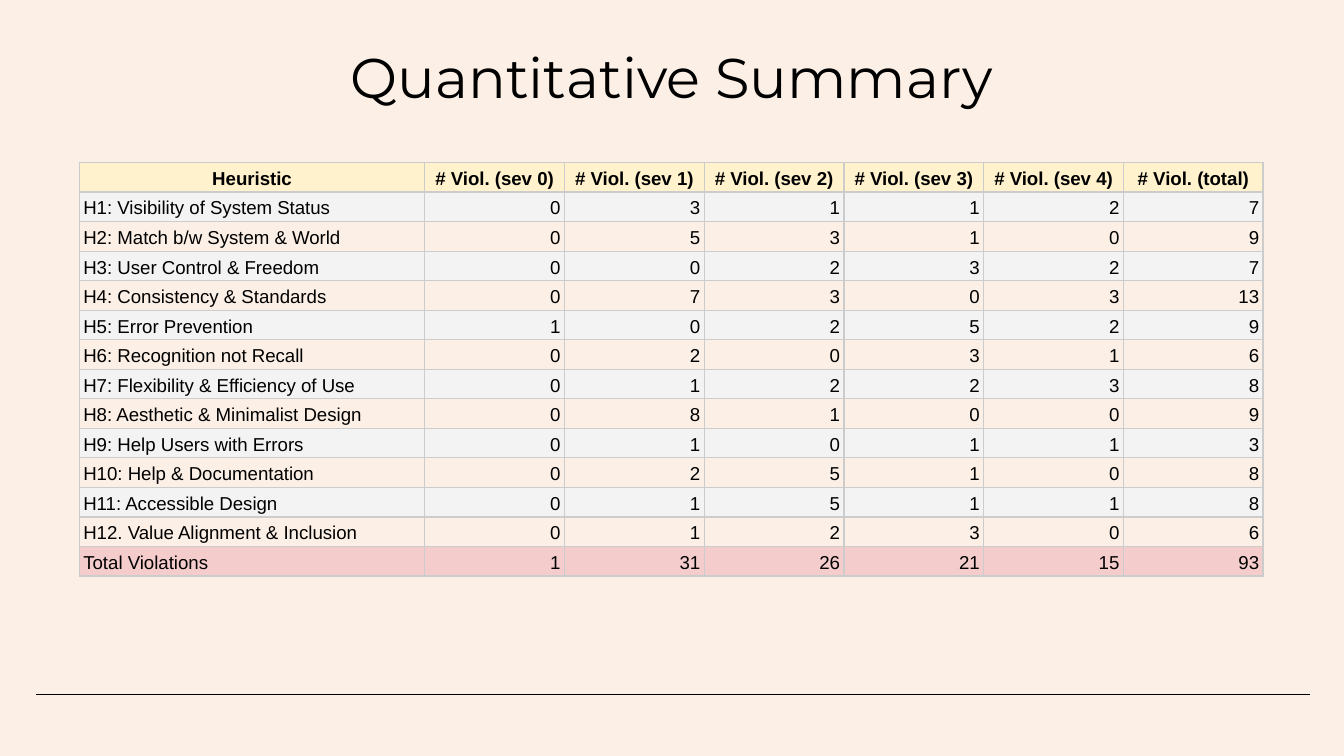
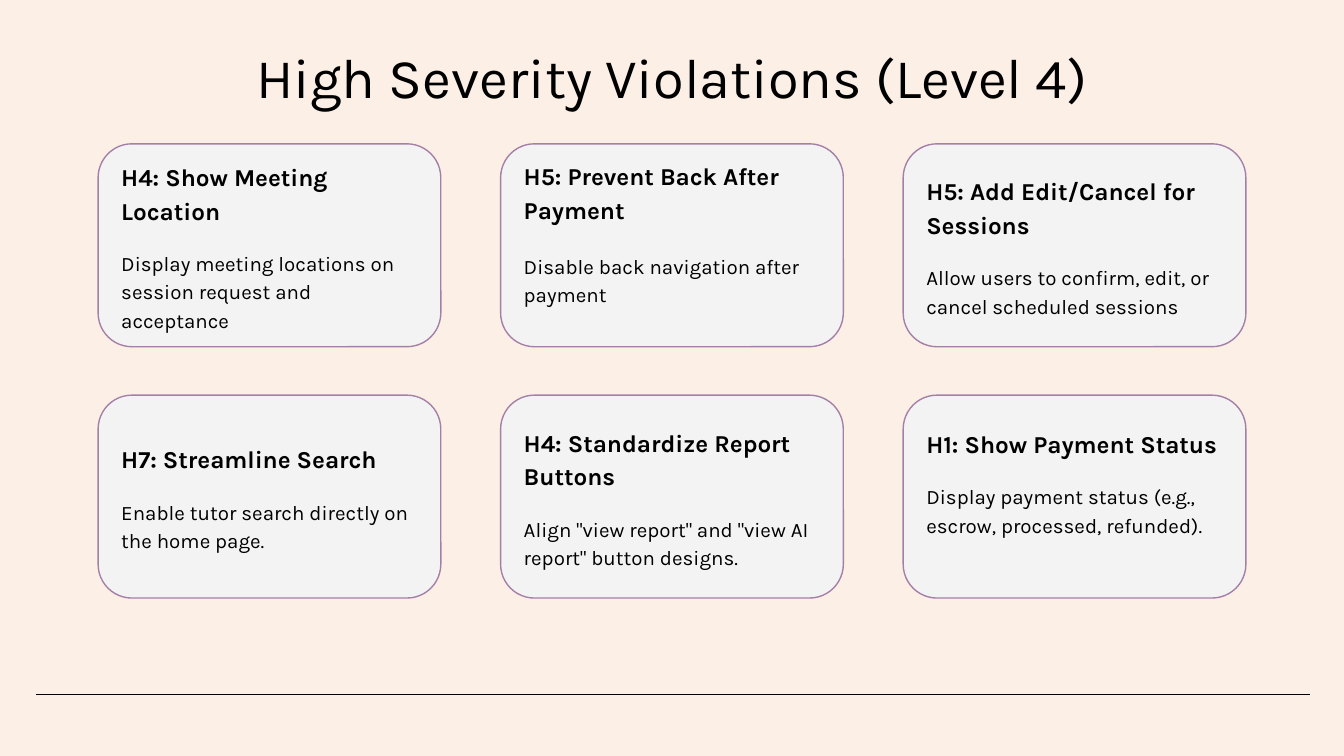
from pptx import Presentation
from pptx.dml.color import RGBColor
from pptx.enum.shapes import MSO_CONNECTOR, MSO_SHAPE
from pptx.enum.text import MSO_ANCHOR, PP_ALIGN
from pptx.oxml.ns import qn
from pptx.util import Inches, Pt
from lxml import etree

LEFT, CENTER, RIGHT = PP_ALIGN.LEFT, PP_ALIGN.CENTER, PP_ALIGN.RIGHT
TOP, MIDDLE, BOTTOM = MSO_ANCHOR.TOP, MSO_ANCHOR.MIDDLE, MSO_ANCHOR.BOTTOM
ROUNDED, STRAIGHT = MSO_SHAPE.ROUNDED_RECTANGLE, MSO_CONNECTOR.STRAIGHT

CREAM = RGBColor(0xFC, 0xEF, 0xE5)
BLACK = RGBColor(0x00, 0x00, 0x00)
GRAY = RGBColor(0xF3, 0xF3, 0xF3)
BORDER = RGBColor(0xCC, 0xCC, 0xCC)
YELLOW = RGBColor(0xFF, 0xF2, 0xCC)
PINK = RGBColor(0xF4, 0xCC, 0xCC)
MAUVE = RGBColor(0xA4, 0x7F, 0xA7)

MARGIN, CONTENT_W = 0.73, 8.54
CARD_W, CARD_H, CARD_TOP, CARD_PITCH_Y = 2.55, 1.51, 1.07, 1.87
CARD_COLS = 3
CARD_PITCH_X = (CONTENT_W - CARD_W) / (CARD_COLS - 1)

HEADER = ["Heuristic", *[f"# Viol. (sev {n})" for n in range(5)], "# Viol. (total)"]
VIOLATIONS = [
    ("H1: Visibility of System Status", 0, 3, 1, 1, 2, 7),
    ("H2: Match b/w System & World", 0, 5, 3, 1, 0, 9),
    ("H3: User Control & Freedom", 0, 0, 2, 3, 2, 7),
    ("H4: Consistency & Standards", 0, 7, 3, 0, 3, 13),
    ("H5: Error Prevention", 1, 0, 2, 5, 2, 9),
    ("H6: Recognition not Recall", 0, 2, 0, 3, 1, 6),
    ("H7: Flexibility & Efficiency of Use", 0, 1, 2, 2, 3, 8),
    ("H8: Aesthetic & Minimalist Design", 0, 8, 1, 0, 0, 9),
    ("H9: Help Users with Errors", 0, 1, 0, 1, 1, 3),
    ("H10: Help & Documentation", 0, 2, 5, 1, 0, 8),
    ("H11: Accessible Design", 0, 1, 5, 1, 1, 8),
    ("H12. Value Alignment & Inclusion", 0, 1, 2, 3, 0, 6),
    ("Total Violations", 1, 31, 26, 21, 15, 93),
]
CARDS = [
    ("H4: Show Meeting Location",
     "Display meeting locations on session request and acceptance", {}),
    ("H5: Prevent Back After Payment",
     "Disable back navigation after payment", {"gap": 14, "bottom": 0.3}),
    ("H5: Add Edit/Cancel for Sessions",
     "Allow users to confirm, edit, or cancel scheduled sessions", {}),
    ("H7: Streamline Search",
     "Enable tutor search directly on the home page.", {}),
    ("H4: Standardize Report Buttons",
     'Align "view report" and "view AI report" button designs.', {}),
    ("H1: Show Payment Status",
     "Display payment status (e.g., escrow, processed, refunded).", {"bottom": 0.33}),
]


def write(p, text, font="Karla", size=11, bold=False, align=LEFT, spacing=1.15, before=0):
    """Put formatted text into a paragraph."""
    p.alignment, p.line_spacing, p.space_before = align, spacing, Pt(before)
    r = p.add_run()
    r.text = text
    r.font.name, r.font.size, r.font.bold = font, Pt(size), bold
    r.font.color.rgb = BLACK


def set_frame(tf, anchor, bottom=0.1):
    """Set wrapping, anchor and insets of a text frame."""
    tf.word_wrap = True
    tf.vertical_anchor = anchor
    tf.margin_left = tf.margin_right = tf.margin_top = Inches(0.1)
    tf.margin_bottom = Inches(bottom)


def set_borders(cell, color=BORDER, width=0.83):
    """Draw a solid line on all four sides of a table cell."""
    tc_pr = cell._tc.get_or_add_tcPr()
    for i, side in enumerate(("a:lnL", "a:lnR", "a:lnT", "a:lnB")):
        ln = etree.Element(qn(side), w=str(int(Pt(width))))
        fill = etree.SubElement(ln, qn("a:solidFill"))
        etree.SubElement(fill, qn("a:srgbClr"), val=str(color))
        tc_pr.insert(i, ln)


class Deck:
    """Holds the presentation, its style and the current slide."""

    def __init__(self):
        self.prs = Presentation()
        self.prs.slide_width = Inches(10)
        self.prs.slide_height = self.prs.slide_width * 9 // 16
        self.s = None

    def slide(self):
        """Start a slide with the shared background and bottom rule."""
        self.s = self.prs.slides.add_slide(self.prs.slide_layouts[6])
        self.s.background.fill.solid()
        self.s.background.fill.fore_color.rgb = CREAM
        rule = self.s.shapes.add_connector(
            STRAIGHT, Inches(0.27), Inches(5.17), Inches(9.75), Inches(5.17))
        rule.line.color.rgb, rule.line.width = BLACK, Pt(0.75)
        etree.SubElement(rule._element.spPr, qn("a:effectLst"))

    def title(self, text, font):
        """Add the centred slide title."""
        sp = self.s.shapes.add_textbox(
            Inches(MARGIN), Inches(0.27), Inches(CONTENT_W), Inches(1.3))
        set_frame(sp.text_frame, TOP)
        write(sp.text_frame.paragraphs[0], text, font=font, size=30,
              align=CENTER, spacing=0.9)

    def cell(self, cell, text, fill, **fmt):
        """Fill in one table cell."""
        cell.margin_left = cell.margin_right = Inches(0.03)
        cell.margin_top = cell.margin_bottom = Inches(0.02)
        cell.vertical_anchor = BOTTOM
        if fill is None:
            cell.fill.background()
        else:
            cell.fill.solid()
            cell.fill.fore_color.rgb = fill
        set_borders(cell)
        write(cell.text_frame.paragraphs[0], str(text), font="Arial", size=10, **fmt)

    def table(self, header, rows, left, top, widths, row_h):
        """Add a table with a header, striped rows and a totals row."""
        n = len(rows)
        table = self.s.shapes.add_table(
            n + 1, len(header), Inches(left), Inches(top),
            Inches(sum(widths)), Inches(row_h * (n + 1))).table
        table.first_row = table.horz_banding = False
        for column, width in zip(table.columns, widths):
            column.width = Inches(width)
        for row in table.rows:
            row.height = Inches(row_h)
        for j, text in enumerate(header):
            self.cell(table.cell(0, j), text, YELLOW, bold=True, align=CENTER)
        for i, row in enumerate(rows, 1):
            fill = PINK if i == n else GRAY if i % 2 else None
            for j, value in enumerate(row):
                self.cell(table.cell(i, j), value, fill, align=RIGHT if j else LEFT)

    def card(self, left, top, heading, body, gap=12, bottom=0.1):
        """Add a rounded card with a heading and a description."""
        sp = self.s.shapes.add_shape(
            ROUNDED, Inches(left), Inches(top), Inches(CARD_W), Inches(CARD_H))
        sp.shadow.inherit = False
        sp.adjustments[0] = 1 / 6
        sp.fill.solid()
        sp.fill.fore_color.rgb = GRAY
        sp.line.color.rgb, sp.line.width = MAUVE, Pt(0.75)
        tf = sp.text_frame
        set_frame(tf, MIDDLE, bottom)
        write(tf.paragraphs[0], heading, size=13, bold=True)
        write(tf.add_paragraph(), body, before=gap)


def main():
    """Build both slides and save the deck."""
    deck = Deck()

    deck.slide()
    deck.table(HEADER, VIOLATIONS, 0.59, 1.21, [2.57] + [1.04] * 6, 0.22)
    deck.title("Quantitative Summary", "Montserrat")

    deck.slide()
    deck.title("High Severity Violations (Level 4)", "Karla")
    for i, (heading, body, layout) in enumerate(CARDS):
        row, col = divmod(i, CARD_COLS)
        deck.card(MARGIN + col * CARD_PITCH_X, CARD_TOP + row * CARD_PITCH_Y,
                  heading, body, **layout)

    deck.prs.save("out.pptx")


if __name__ == "__main__":
    main()
